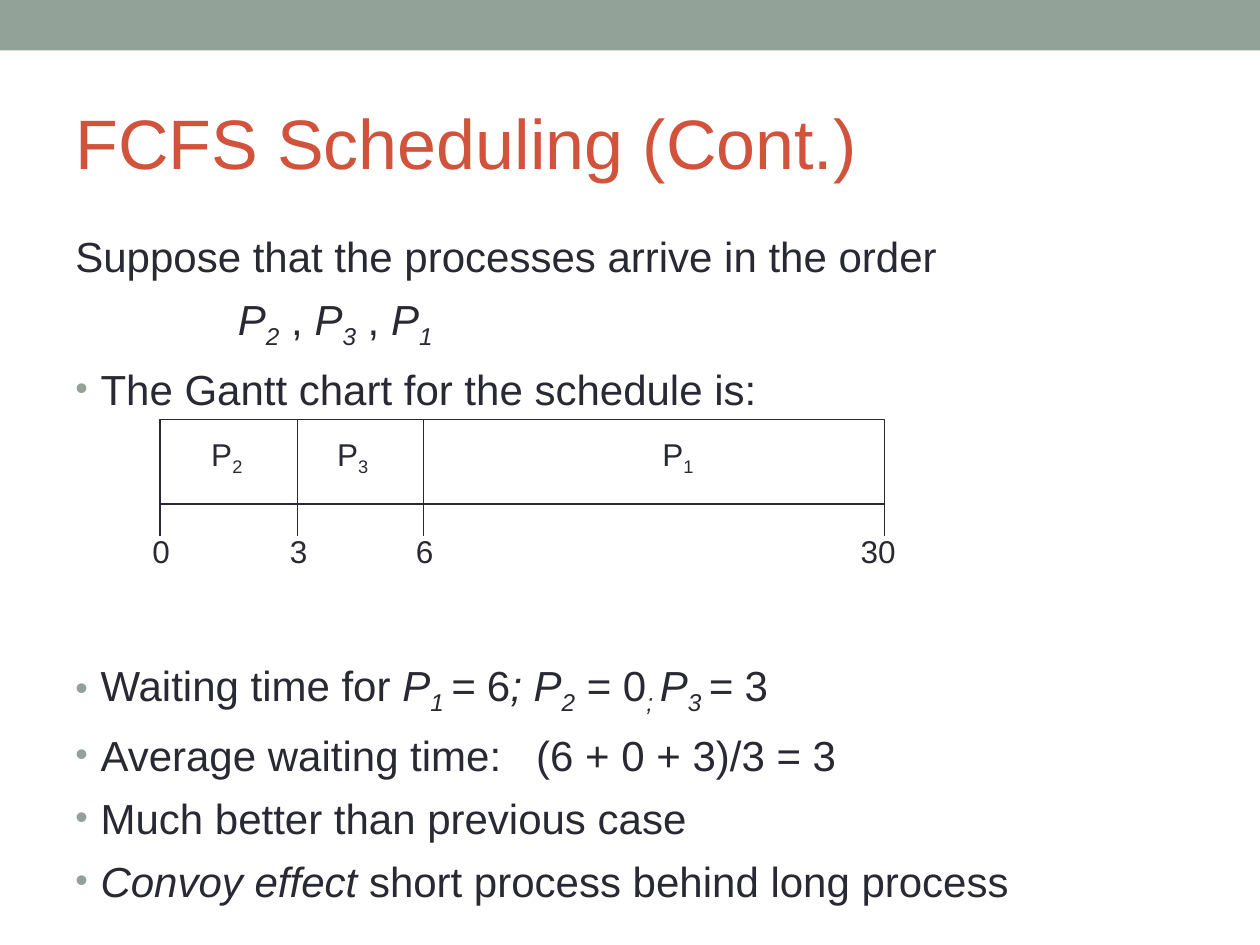
from lxml import etree
from pptx import Presentation
from pptx.dml.color import RGBColor
from pptx.enum.shapes import MSO_CONNECTOR as Connector, MSO_SHAPE as Shape
from pptx.enum.text import MSO_ANCHOR as Anchor, PP_ALIGN as Align
from pptx.oxml.ns import qn
from pptx.util import Inches, Pt

SAGE, RUST, INK, WHITE = "93A299", "D2533C", "292934", "FFFFFF"
BULLET_INDENT = 0.2


def color(hex_code):
    return RGBColor.from_string(hex_code)


def write(paragraph, text, size=24, ink=INK, italic=False, sub=False, spacing=None):
    """Add a run; spacing is extra character spacing in points."""
    run = paragraph.add_run()
    run.text = text
    run.font.name = "Arial"
    run.font.size = Pt(size)
    run.font.italic = italic
    run.font.color.rgb = color(ink)
    properties = run.font._element
    if sub:
        properties.set("baseline", "-25000")
    if spacing:
        properties.set("spc", str(round(spacing * 100)))


def indent(paragraph, left, first=0.0):
    properties = paragraph._p.get_or_add_pPr()
    properties.set("marL", str(Inches(left)))
    properties.set("indent", str(Inches(first)))
    return properties


def add_bullet(paragraph):
    properties = indent(paragraph, BULLET_INDENT, -BULLET_INDENT)
    tint = etree.SubElement(properties, qn("a:buClr"))
    etree.SubElement(tint, qn("a:srgbClr"), val=SAGE)
    etree.SubElement(properties, qn("a:buSzPct"), val="85000")
    etree.SubElement(properties, qn("a:buFont"), typeface="Arial")
    etree.SubElement(properties, qn("a:buChar"), char="•")


class SlideBuilder:
    """Holds the current slide and its shared line style."""

    line_width = Pt(0.75)

    def __init__(self, slide):
        self.shapes = slide.shapes

    def box(self, left, top, width, height, fill, outline=None):
        shape = self.shapes.add_shape(
            Shape.RECTANGLE, Inches(left), Inches(top), Inches(width), Inches(height))
        shape.shadow.inherit = False
        shape.fill.solid()
        shape.fill.fore_color.rgb = color(fill)
        if outline:
            shape.line.color.rgb = color(outline)
            shape.line.width = self.line_width
        else:
            shape.line.fill.background()

    def vertical(self, x, top, bottom):
        line = self.shapes.add_connector(
            Connector.STRAIGHT, Inches(x), Inches(top), Inches(x), Inches(bottom))
        line.line.color.rgb = color(INK)
        line.line.width = self.line_width
        etree.SubElement(line._element.spPr, qn("a:effectLst"))

    def text(self, left, top, width, height, anchor=Anchor.MIDDLE, wrap=True):
        frame = self.shapes.add_textbox(
            Inches(left), Inches(top), Inches(width), Inches(height)).text_frame
        frame.word_wrap = wrap
        frame.vertical_anchor = anchor
        return frame

    def label(self, center, top, width, height, text, sub=""):
        frame = self.text(center - width / 2, top, width, height, wrap=False)
        caption = frame.paragraphs[0]
        caption.alignment = Align.CENTER
        write(caption, text, size=18)
        if sub:
            write(caption, sub, size=18, sub=True)

    def body(self, left, top, width, height, entries):
        """Each entry is (space before, left indent or None for a bullet, spans)."""
        frame = self.text(left, top, width, height, anchor=Anchor.TOP)
        for number, (space, margin, spans) in enumerate(entries):
            paragraph = frame.add_paragraph() if number else frame.paragraphs[0]
            paragraph.space_before = Pt(space)
            if margin is None:
                add_bullet(paragraph)
            else:
                indent(paragraph, margin)
            for text, style in spans:
                write(paragraph, text, **style)

    def gantt(self, top, bottom, edges, processes, times):
        self.box(edges[0], top, edges[-1] - edges[0], bottom - top, WHITE, INK)
        for edge in edges[1:-1]:
            self.vertical(edge, top, bottom)
        for center, number in processes:
            self.label(center, top + 0.07, 0.45, 0.44, "P", sub=number)
        for edge in edges:
            self.vertical(edge, bottom, bottom + 0.25)
        for center, time in times:
            self.label(center, bottom + 0.17, 0.2 + 0.14 * len(time), 0.4, time)


def main():
    deck = Presentation()
    deck.slide_width, deck.slide_height = Inches(10), Inches(7.5)
    builder = SlideBuilder(deck.slides.add_slide(deck.slide_layouts[6]))

    builder.box(0, 0, 10, 0.4, SAGE)
    title = builder.text(0.5, 0.58, 9, 1.08)
    write(title.paragraphs[0], "FCFS Scheduling (Cont.)", size=40, ink=RUST)

    plain, italic = {}, {"italic": True}
    lowered = {"italic": True, "sub": True}
    wide_gap = {"spacing": 13.3}
    step, chart_gap = 7.2, 140.4
    builder.body(0.5, 1.78, 9, 5.3, [
        (step, 0, [("Suppose that the processes arrive in the order", plain)]),
        (step, 1.29, [("P", italic), ("2", lowered), (" , ", plain),
                      ("P", italic), ("3", lowered), (" , ", plain),
                      ("P", italic), ("1", lowered)]),
        (step, None, [("The Gantt chart for the schedule is:", plain)]),
        (chart_gap, None, [("Waiting time for ", plain), ("P", italic), ("1 ", lowered),
                           ("=", italic), (" 6", plain), ("; P", italic),
                           ("2", lowered), (" = 0", plain), ("; ", lowered),
                           ("P", italic), ("3 ", lowered), ("= ", italic),
                           ("3", plain)]),
        (step, None, [("Average waiting time:", plain), (" ", wide_gap),
                      ("(6 + 0 + 3)/3 = 3", plain)]),
        (step, None, [("Much better than previous case", plain)]),
        (step, None, [("Convoy effect", italic),
                      (" short process behind long process", plain)]),
    ])

    builder.gantt(
        top=3.33, bottom=4, edges=[1.27, 2.36, 3.36, 7.02],
        processes=[(1.8, "2"), (2.8, "3"), (5.38, "1")],
        times=[(1.28, "0"), (2.37, "3"), (3.37, "6"), (6.97, "30")])

    deck.save("out.pptx")


if __name__ == "__main__":
    main()
